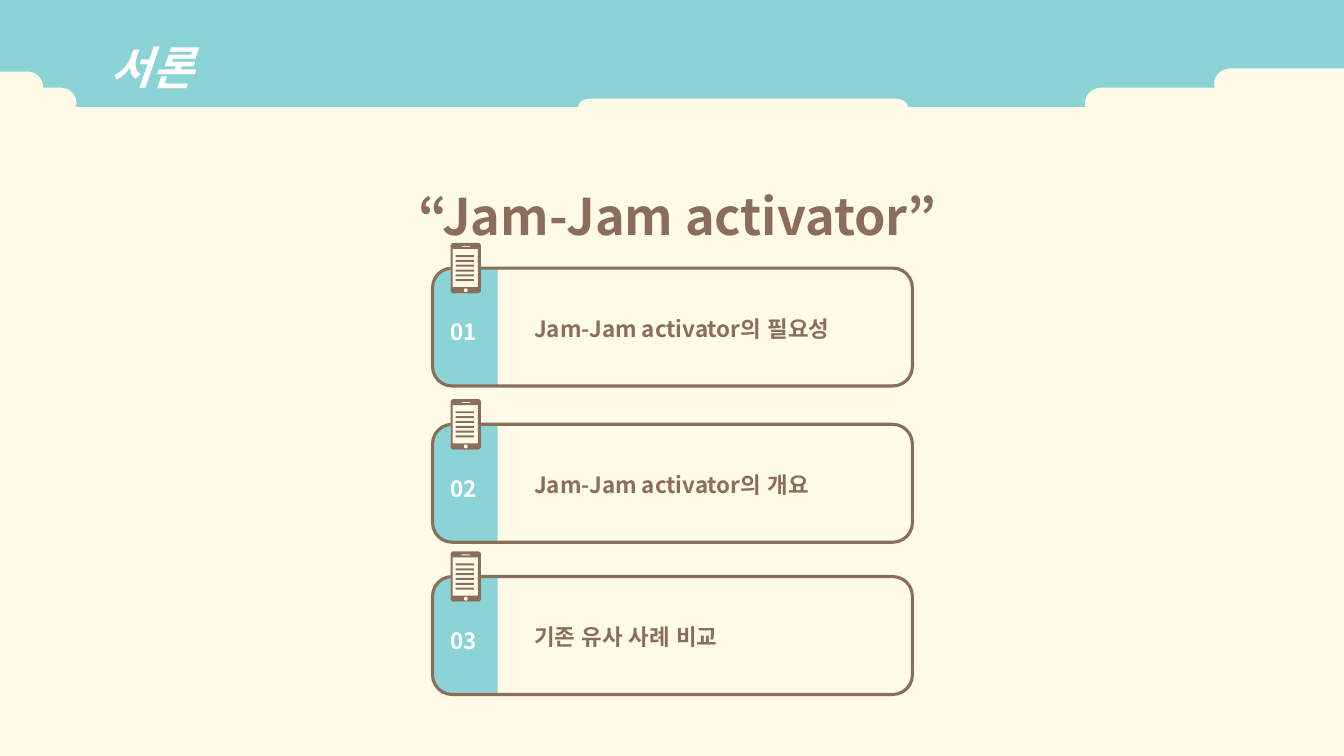
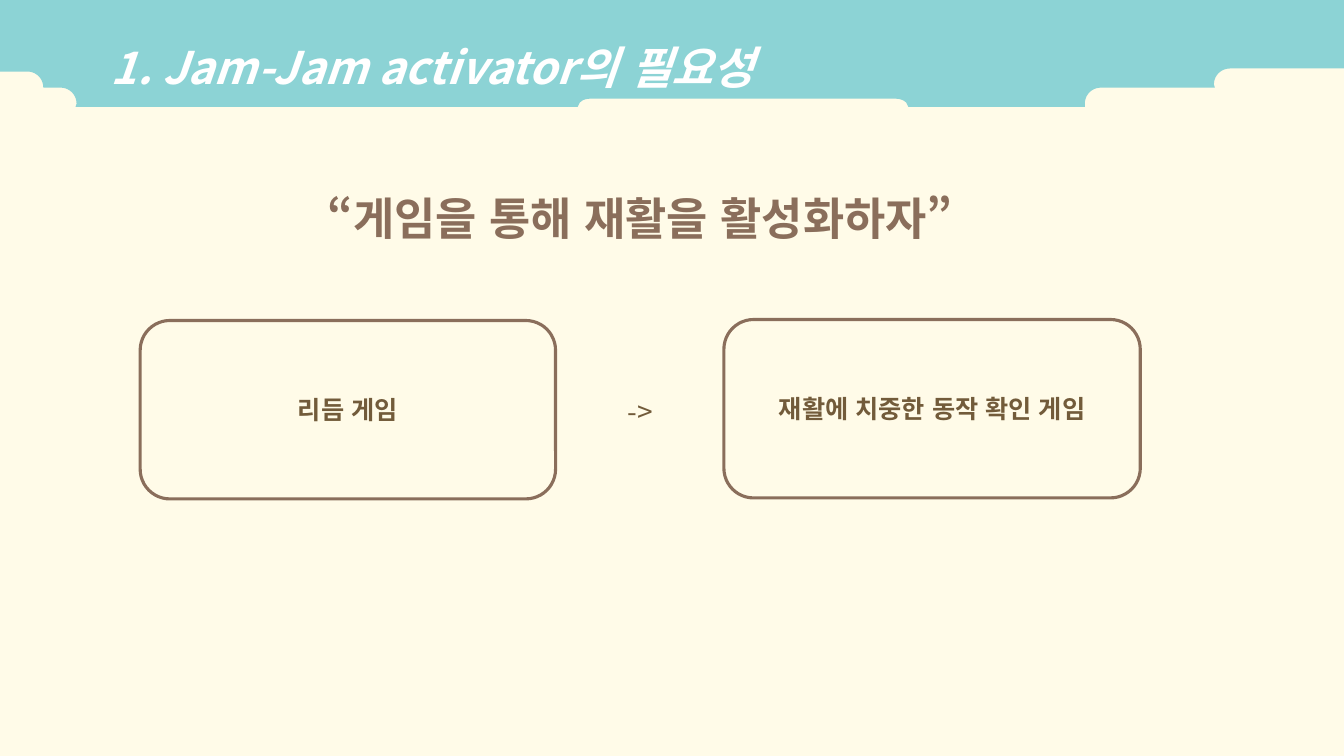
from math import cos, pi, sin

from lxml.etree import SubElement
from pptx import Presentation
from pptx.dml.color import RGBColor
from pptx.enum.lang import MSO_LANGUAGE_ID
from pptx.enum.shapes import MSO_SHAPE
from pptx.enum.text import MSO_ANCHOR, PP_ALIGN
from pptx.oxml.ns import qn
from pptx.util import Emu, Pt

PX = 9144
WIDTH, HEIGHT = 1333, 750
FONT = "Noto Sans CJK KR"
CREAM = RGBColor(0xFF, 0xFB, 0xE8)
TEAL = RGBColor(0x8C, 0xD3, 0xD5)
BROWN = RGBColor(0x8A, 0x6E, 0x5B)
DARK_BROWN = RGBColor(0x72, 0x5B, 0x3A)
WHITE = RGBColor(0xFF, 0xFF, 0xFF)

INTRO = {
    "heading": "서론",
    "quote": "“Jam-Jam activator”",
    "cards": [
        (266, "01", "Jam-Jam activator의 필요성"),
        (421, "02", "Jam-Jam activator의 개요"),
        (572, "03", "기존 유사 사례 비교"),
    ],
}
NEED = {
    "heading": "1. Jam-Jam activator의 필요성",
    "quote": "“게임을 통해 재활을 활성화하자”",
    "arrow": "->",
    "games": [
        ((139, 318, 412, 177), "리듬 게임"),
        ((718, 317, 413, 177), "재활에 치중한 동작 확인 게임"),
    ],
}
CLOUD_EDGE = [
    (0, 0), (WIDTH, 0), (WIDTH, 68), (1220, 68),
    (1211, 68, 1204, 75, 1204, 84), (1205, 87), (1092, 87),
    (1083, 87, 1076, 94, 1076, 103), (1076, 106), (901, 106), (899, 102),
    (896, 99, 892, 98, 888, 98), (586, 98),
    (581, 98, 578, 99, 575, 102), (573, 106), (75, 106), (76, 103),
    (76, 94, 69, 87, 60, 87), (43, 87),
    (43, 78, 36, 71, 27, 71), (0, 71),
]
PHONE_PARTS = [(0, 0, 30, 50, 3), (2, 6, 25, 38, 0), (13, 45, 4, 4, 2), (11, 3, 8, 1, 0)]


def px(*lengths):
    return [Emu(round(length * PX)) for length in lengths]


def trace(edge, steps=10):
    points = []
    for node in edge:
        if len(node) == 2:
            points.append(node)
            continue
        corners = [points[-1], node[:2], node[2:4], node[4:]]
        for step in range(1, steps + 1):
            t = step / steps
            weights = ((1 - t) ** 3, 3 * t * (1 - t) ** 2, 3 * t * t * (1 - t), t ** 3)
            points.append(tuple(sum(w * c[axis] for w, c in zip(weights, corners))
                                for axis in (0, 1)))
    return points


def rounded(x, y, w, h, radius, steps=6):
    if not radius:
        return [(x, y), (x + w, y), (x + w, y + h), (x, y + h)]
    centres = [(x + w - radius, y + h - radius), (x + radius, y + h - radius),
               (x + radius, y + radius), (x + w - radius, y + radius)]
    return [(cx + radius * cos((quarter + step / steps) * pi / 2),
             cy + radius * sin((quarter + step / steps) * pi / 2))
            for quarter, (cx, cy) in enumerate(centres) for step in range(steps + 1)]


def paint(shape, fill=None, line=None):
    shape.shadow.inherit = False
    if fill is None:
        shape.fill.background()
    else:
        shape.fill.solid()
        shape.fill.fore_color.rgb = fill
    if line is None:
        shape.line.fill.background()
    else:
        shape.line.color.rgb = line
        shape.line.width = Pt(2.25)
    return shape


def add_box(shapes, kind, box, fill=None, line=None):
    return paint(shapes.add_shape(kind, *px(*box)), fill, line)


def add_outline(shapes, contours, fill):
    contours = [[px(*point) for point in contour] for contour in contours]
    builder = shapes.build_freeform(*contours[0][0])
    for index, contour in enumerate(contours):
        if index:
            builder.move_to(*contour[0])
        builder.add_line_segments(contour[1:], close=True)
    return paint(builder.convert_to_shape(), fill)


def write(shape, text, size, color, align=PP_ALIGN.LEFT, spacing=1.5, bold=True,
          italic=False, wrap=True):
    shape.text_frame.word_wrap = wrap
    paragraph = shape.text_frame.paragraphs[0]
    paragraph.alignment = align
    paragraph.line_spacing = spacing
    run = paragraph.add_run()
    run.text = text
    font = run.font
    font.name, font.size, font.bold, font.italic = FONT, Pt(size), bold, italic
    font.color.rgb = color
    font.language_id = MSO_LANGUAGE_ID.KOREAN
    SubElement(run._r.get_or_add_rPr(), qn("a:ea")).set("typeface", FONT)


def add_text(shapes, box, *words, **style):
    write(shapes.add_textbox(*px(*box)), *words, **style)


def add_page(deck, heading):
    page = deck.slides.add_slide(deck.slide_layouts[6])
    page.background.fill.solid()
    page.background.fill.fore_color.rgb = CREAM
    band = add_outline(page.shapes, [trace(CLOUD_EDGE)], TEAL)
    band.text_frame.margin_left = px(110)[0]
    band.text_frame.vertical_anchor = MSO_ANCHOR.MIDDLE
    write(band, heading, 32, WHITE, italic=True)
    return page.shapes


def add_phone(shapes, left, top):
    add_box(shapes, MSO_SHAPE.ROUNDED_RECTANGLE, (left, top, 30, 50), CREAM)
    add_outline(shapes, [rounded(left + x, top + y, w, h, radius)
                         for x, y, w, h, radius in PHONE_PARTS], BROWN)
    for row in range(6):
        add_box(shapes, MSO_SHAPE.RECTANGLE, (left + 5, top + 12 + row * 4.8, 18, 2), BROWN)


def add_card(page, top, number, label):
    card = page.add_group_shape().shapes
    strip = add_box(card, MSO_SHAPE.ROUND_2_SAME_RECTANGLE, (403, top + 26, 116, 65), TEAL)
    strip.adjustments[0] = 0.33
    strip.rotation = 270
    add_box(card, MSO_SHAPE.ROUNDED_RECTANGLE, (429, top, 476, 117), line=BROWN)
    add_phone(card, 447, top - 25)
    add_text(card, (520, top + 28, 358, 50), label, 16, BROWN)
    add_text(card, (437, top + 45, 46, 37), number, 16, WHITE, spacing=1, wrap=False)


def main():
    deck = Presentation()
    deck.slide_width, deck.slide_height = px(WIDTH, HEIGHT)

    intro = add_page(deck, INTRO["heading"])
    add_text(intro, (176, 149, 992, 101), INTRO["quote"], 36, BROWN, align=PP_ALIGN.CENTER)
    for card in INTRO["cards"]:
        add_card(intro, *card)

    need = add_page(deck, NEED["heading"])
    add_text(need, (139, 370, 992, 54), NEED["arrow"], 20, DARK_BROWN,
             align=PP_ALIGN.CENTER, bold=False)
    add_text(need, (139, 158, 992, 80), NEED["quote"], 32, BROWN, align=PP_ALIGN.CENTER)
    for box, label in NEED["games"]:
        game = add_box(need, MSO_SHAPE.ROUNDED_RECTANGLE, box, line=BROWN)
        game.text_frame.vertical_anchor = MSO_ANCHOR.MIDDLE
        write(game, label, 18, DARK_BROWN, align=PP_ALIGN.CENTER, spacing=1)

    deck.save("out.pptx")


if __name__ == "__main__":
    main()
